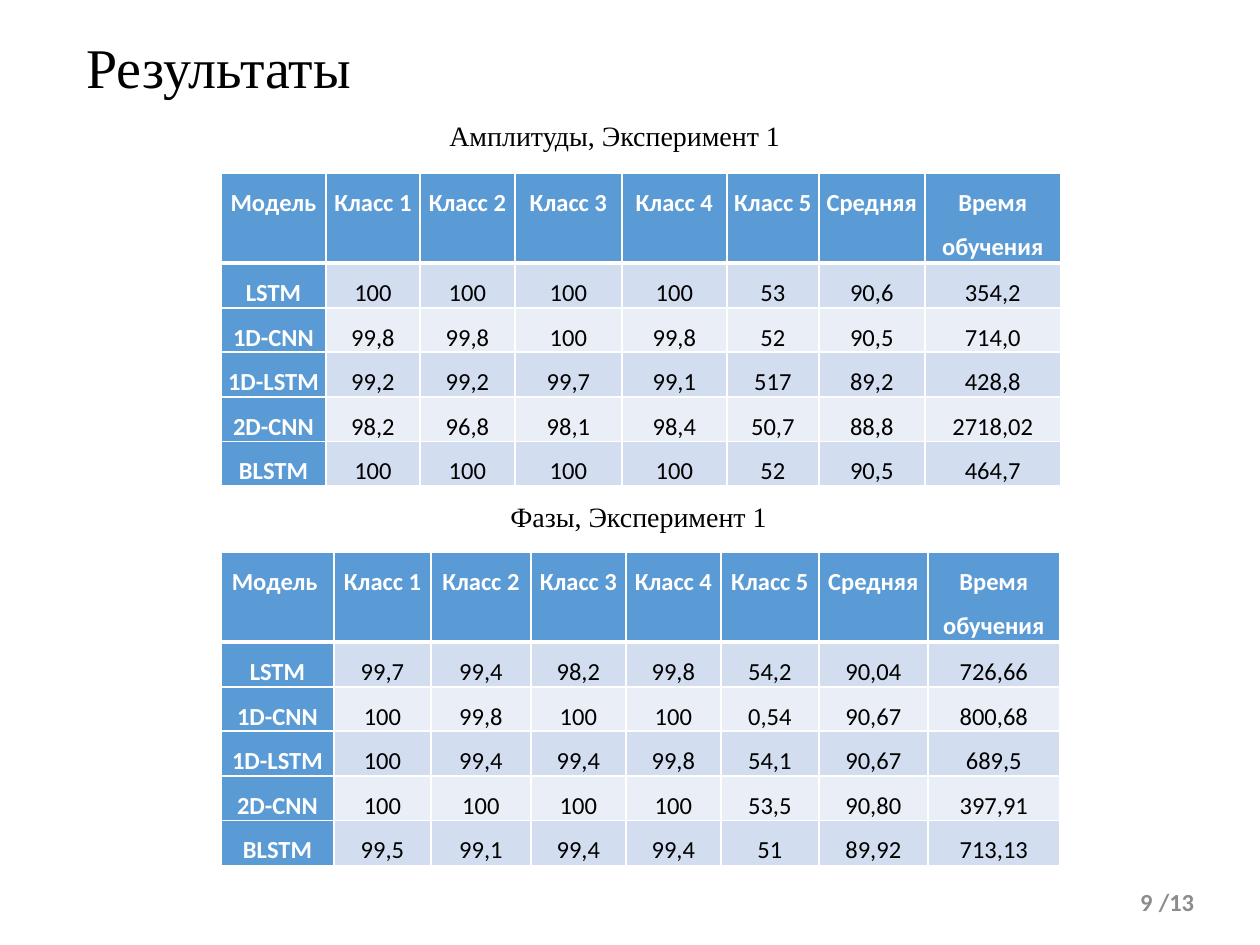
"""Build the slide with experiment results for amplitudes and phases."""
from lxml import etree
from pptx import Presentation
from pptx import util as u
from pptx.dml.color import RGBColor
from pptx.enum import text
from pptx.oxml.ns import qn

SCALE = 914400 / 126
SERIF, SANS = "Times New Roman", "Calibri"
WHITE, BLACK, GREY = "FFFFFF", "000000", "8C8C8C"
ACCENT, BANDS = "5B9BD5", ("D2DEEF", "EAEFF7")
LEFT, CENTER, RIGHT = text.PP_ALIGN.LEFT, text.PP_ALIGN.CENTER, text.PP_ALIGN.RIGHT
TOP, MIDDLE = text.MSO_ANCHOR.TOP, text.MSO_ANCHOR.MIDDLE
ROW_HEIGHTS = (90, 45, 44, 45, 44, 45)
HEADINGS = ["Класс 1", "Класс 2", "Класс 3", "Класс 4", "Класс 5",
            "Средняя", "Время обучения"]
AMPLITUDES = """
LSTM 100 100 100 100 53 90,6 354,2
1D-CNN 99,8 99,8 100 99,8 52 90,5 714,0
1D-LSTM 99,2 99,2 99,7 99,1 517 89,2 428,8
2D-CNN 98,2 96,8 98,1 98,4 50,7 88,8 2718,02
BLSTM 100 100 100 100 52 90,5 464,7
"""
PHASES = """
LSTM 99,7 99,4 98,2 99,8 54,2 90,04 726,66
1D-CNN 100 99,8 100 100 0,54 90,67 800,68
1D-LSTM 100 99,4 99,4 99,8 54,1 90,67 689,5
2D-CNN 100 100 100 100 53,5 90,80 397,91
BLSTM 99,5 99,1 99,4 99,4 51 89,92 713,13
"""


def px(length):
    """Turn pixels into EMU."""
    return u.Emu(round(length * SCALE))


def color(value):
    """Turn a hex string into a colour."""
    return RGBColor.from_string(value)


def set_all(target, values):
    """Set each named attribute of the target."""
    for name, value in values.items():
        setattr(target, name, value)


def write(frame, content, size, font, shade, bold=False, align=LEFT, spacing=None):
    """Write one formatted paragraph into a text frame."""
    paragraph = frame.paragraphs[0]
    set_all(paragraph, {"alignment": align, "line_spacing": spacing})
    run = paragraph.add_run()
    run.text = content
    set_all(run.font, {"size": u.Pt(size), "name": font, "bold": bold})
    run.font.color.rgb = color(shade)


def add_text(slide, box, content, wrap=True, anchor=TOP, **style):
    """Add a text box with one paragraph."""
    frame = slide.shapes.add_textbox(*map(px, box)).text_frame
    set_all(frame, {"word_wrap": wrap, "vertical_anchor": anchor})
    if not wrap:
        frame.auto_size = text.MSO_AUTO_SIZE.SHAPE_TO_FIT_TEXT
    write(frame, content, **style)


def add_borders(cell, widths):
    """Draw white borders with widths in points for each side."""
    properties = cell._tc.get_or_add_tcPr()
    for side, width in widths.items():
        line = etree.SubElement(properties, qn(f"a:ln{side}"), w=str(u.Pt(width)))
        fill = etree.SubElement(line, qn("a:solidFill"))
        etree.SubElement(fill, qn("a:srgbClr"), val=WHITE)


def format_cell(cell, content, row, column):
    """Style a cell by its place in the grid."""
    heading = row == 0 or column == 0
    set_all(cell, {"margin_left": px(7), "margin_right": px(7),
                   "margin_top": 0, "margin_bottom": 0})
    add_borders(cell, {"L": 1, "R": 1, "T": 3 if row == 1 else 1,
                       "B": 3 if row == 0 else 1})
    cell.fill.solid()
    cell.fill.fore_color.rgb = color(ACCENT if heading else BANDS[(row - 1) % 2])
    write(cell.text_frame, content, 14, SANS, WHITE if heading else BLACK,
          bold=heading, align=CENTER, spacing=1.5)


def add_results(slide, top, widths, corner, results):
    """Add a table of model results."""
    rows = [[corner, *HEADINGS]]
    rows += [line.split() for line in results.strip().splitlines()]
    table = slide.shapes.add_table(len(rows), len(widths), px(221), px(top),
                                   px(sum(widths)), px(sum(ROW_HEIGHTS))).table
    for column, width in zip(table.columns, widths):
        column.width = px(width)
    for row_index, values in enumerate(rows):
        table.rows[row_index].height = px(ROW_HEIGHTS[row_index])
        for column_index, value in enumerate(values):
            format_cell(table.cell(row_index, column_index), value,
                        row_index, column_index)


def main():
    """Build and save the slide."""
    presentation = Presentation()
    set_all(presentation, {"slide_width": px(1260), "slide_height": px(945)})
    slide = presentation.slides.add_slide(presentation.slide_layouts[6])
    number = {"size": 14, "font": SANS, "shade": GREY, "bold": True, "anchor": MIDDLE}
    caption = {"size": 16, "font": SERIF, "shade": BLACK, "wrap": False}
    add_text(slide, (1143, 877, 67, 50), "/13", align=CENTER, **number)
    add_text(slide, (916, 877, 249, 50), "9", align=RIGHT, **number)
    add_results(slide, 173, (105, 94, 95, 107, 105, 92, 106, 136),
                "Модель", AMPLITUDES)
    add_results(slide, 552, (113, 97, 100, 95, 95, 98, 109, 132),
                "Модель ", PHASES)
    add_text(slide, (437, 112, 360, 47), "Амплитуды, Эксперимент 1", **caption)
    add_text(slide, (498, 493, 286, 47), "Фазы, Эксперимент 1", **caption)
    add_text(slide, (74, 34, 1086, 137), "Результаты", size=32, font=SERIF,
             shade=BLACK, spacing=0.9)
    presentation.save("out.pptx")


if __name__ == "__main__":
    main()
